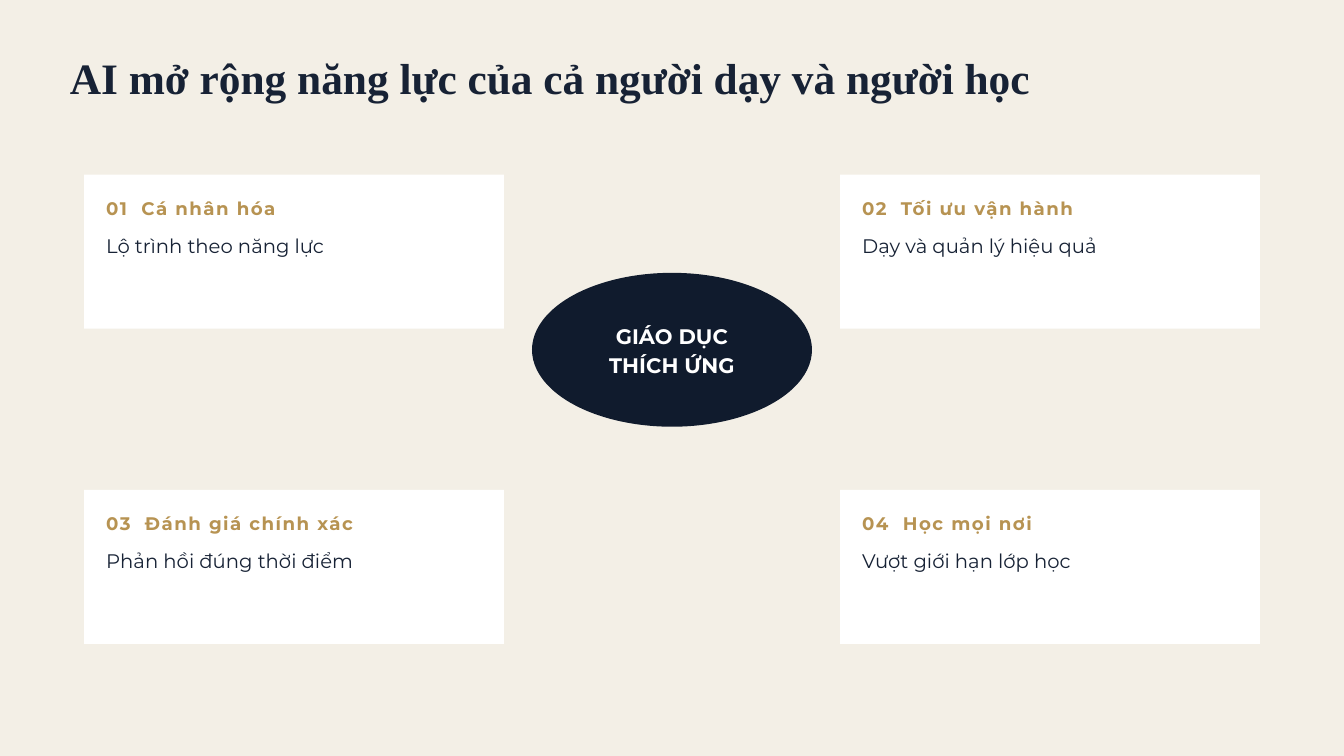
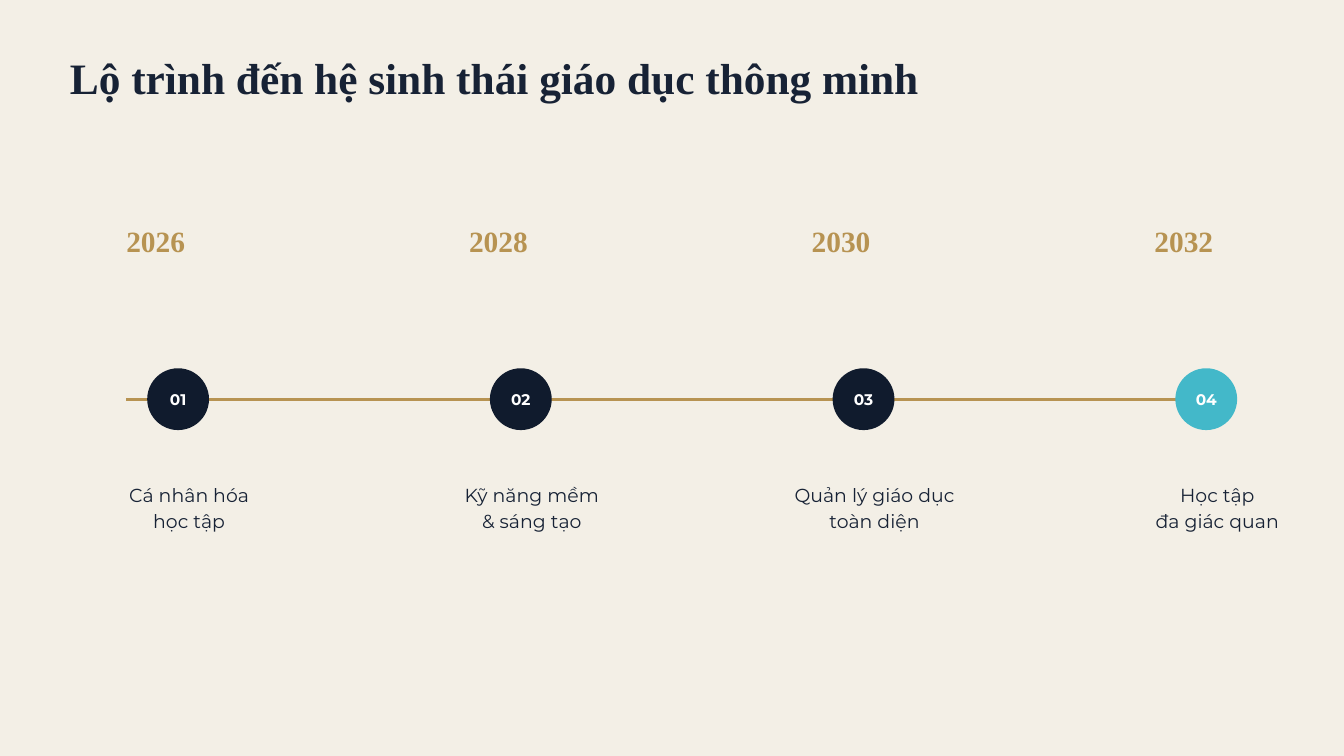
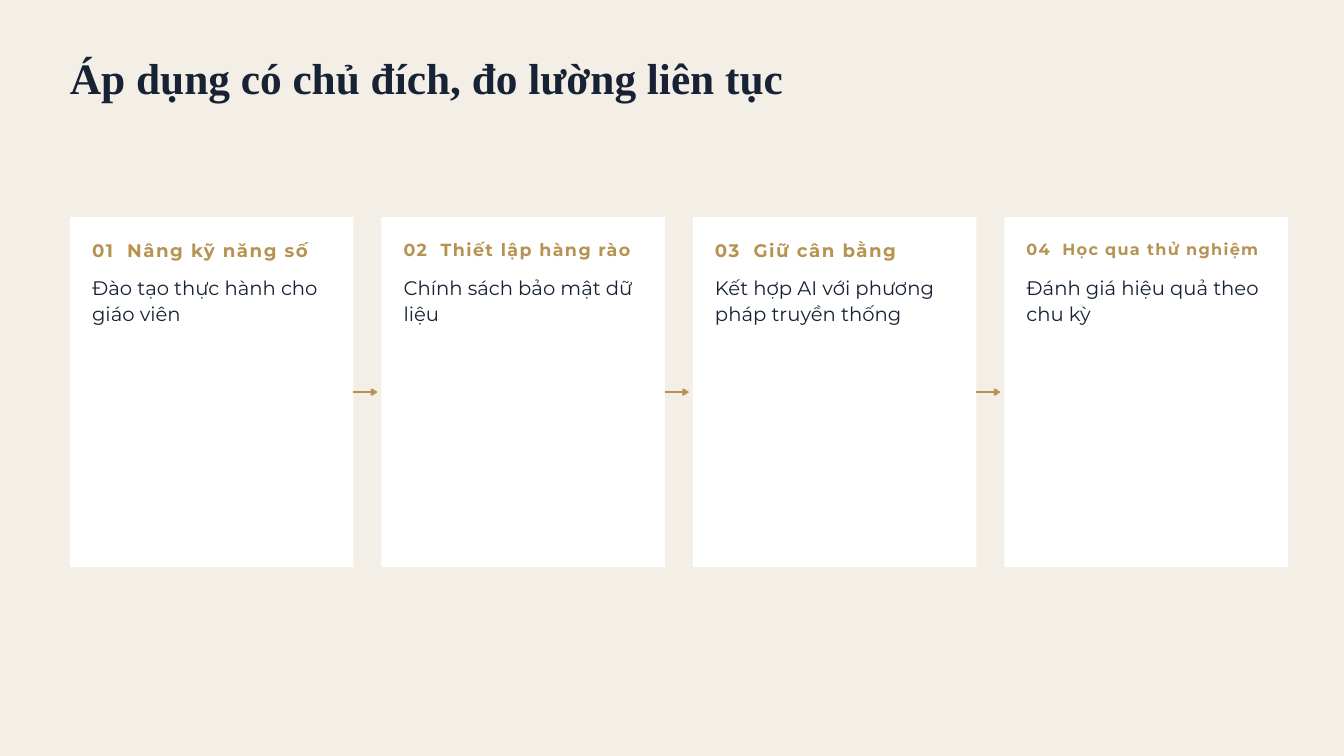
import pptx
import pptx.util
import pptx.dml.color
import pptx.enum.shapes
import pptx.enum.text
import pptx.oxml
import pptx.oxml.ns

# Content
BENEFITS_TITLE = "AI mở rộng năng lực của cả người dạy và người học"
HUB = ["GIÁO DỤC", "THÍCH ỨNG"]
BENEFITS = [
    ("01", "Cá nhân hóa", "Lộ trình theo năng lực"),
    ("02", "Tối ưu vận hành", "Dạy và quản lý hiệu quả"),
    ("03", "Đánh giá chính xác", "Phản hồi đúng thời điểm"),
    ("04", "Học mọi nơi", "Vượt giới hạn lớp học"),
]
ROADMAP_TITLE = "Lộ trình đến hệ sinh thái giáo dục thông minh"
MILESTONES = [
    ("01", "2026", ["Cá nhân hóa", "học tập"], "navy"),
    ("02", "2028", ["Kỹ năng mềm", "& sáng tạo"], "navy"),
    ("03", "2030", ["Quản lý giáo dục", "toàn diện"], "navy"),
    ("04", "2032", ["Học tập", "đa giác quan"], "teal"),
]
STEPS_TITLE = "Áp dụng có chủ đích, đo lường liên tục"
STEPS = [
    ("01", "Nâng kỹ năng số", "Đào tạo thực hành cho giáo viên", 19.5),
    ("02", "Thiết lập hàng rào", "Chính sách bảo mật dữ liệu", 18.75),
    ("03", "Giữ cân bằng", "Kết hợp AI với phương pháp truyền thống", 19.5),
    ("04", "Học qua thử nghiệm", "Đánh giá hiệu quả theo chu kỳ", 17.25),
]

# Shared look
COLORS = {"paper": "F3EFE6", "ink": "172235", "navy": "101B2D",
          "gold": "B79352", "teal": "43B8C9", "white": "FFFFFF"}
SERIF, SANS = "Times New Roman", "Montserrat"
# style: size, font, colour, bold, line height as a share of the size
STYLES = {
    "title": (46.5, SERIF, "ink", True, 1.02),
    "year": (31.5, SERIF, "gold", True, 1.02),
    "hub": (22.5, SANS, "white", True, 1.4),
    "node": (16.5, SANS, "white", True, 1.4),
    "heading": (19.5, SANS, "gold", True, 1.4),
    "body": (21, SANS, "ink", False, 1.35),
    "label": (20.25, SANS, "ink", False, 1.35),
}
W, H = 20, 11.25
COL = W / 16
MARGIN = 1.04
PAD = 0.33

Inches, Pt = pptx.util.Inches, pptx.util.Pt
SHAPE = pptx.enum.shapes.MSO_SHAPE
ALIGN = pptx.enum.text.PP_ALIGN

prs = pptx.Presentation()
prs.slide_width, prs.slide_height = Inches(W), Inches(H)


def rgb(name):
    return pptx.dml.color.RGBColor.from_string(COLORS[name])


def style_paragraph(p, style, size=None, center=False):
    base, font, color, bold, leading = STYLES[style]
    size = size or base
    p.alignment = ALIGN.CENTER if center else ALIGN.LEFT
    p.line_spacing = Pt(size * leading)
    p.font.size, p.font.name, p.font.bold = Pt(size), font, bold
    p.font.color.rgb = rgb(color)


def write(tf, lines, style, center=False):
    for i, line in enumerate(lines):
        p = tf.add_paragraph() if i else tf.paragraphs[0]
        p.text = line
        style_paragraph(p, style, center=center)


def add_box(slide, x, y, w, h):
    tf = slide.shapes.add_textbox(Inches(x), Inches(y), Inches(w), Inches(h)).text_frame
    tf.word_wrap = True
    tf.margin_left = tf.margin_right = tf.margin_top = tf.margin_bottom = 0
    return tf


def add_solid(slide, kind, x, y, w, h, color):
    sp = slide.shapes.add_shape(kind, Inches(x), Inches(y), Inches(w), Inches(h))
    sp.shadow.inherit = False
    sp.fill.solid()
    sp.fill.fore_color.rgb = rgb(color)
    sp.line.fill.background()
    return sp


def add_oval(slide, x, y, w, h, color, lines, style):
    tf = add_solid(slide, SHAPE.OVAL, x, y, w, h, color).text_frame
    tf.word_wrap = True
    tf.vertical_anchor = pptx.enum.text.MSO_ANCHOR.MIDDLE
    tf.margin_left = tf.margin_right = tf.margin_top = Inches(0.06)
    tf.margin_bottom = Inches(0.1)
    write(tf, lines, style, center=True)


def add_line(slide, x1, x2, y, width):
    line = slide.shapes.add_connector(pptx.enum.shapes.MSO_CONNECTOR.STRAIGHT,
                                      Inches(x1), Inches(y), Inches(x2), Inches(y))
    line.line.color.rgb = rgb("gold")
    line.line.width = Pt(width)
    pptx.oxml.ns.qn("a:effectLst")
    line._element.spPr.append(pptx.oxml.parse_xml(
        f'<a:effectLst {pptx.oxml.ns.nsdecls("a")}/>'))
    return line


def add_card(slide, x, y, w, h, number, heading, body, size=19.5):
    card = add_solid(slide, SHAPE.RECTANGLE, x, y, w, h, "white")
    inner = w - 2 * PAD
    p = add_box(slide, x + PAD, y + 0.28, inner, 0.36).paragraphs[0]
    # tracking in hundredths of a point; the gap after the number is wider
    for text, tracking in ((number, 8), (" ", 42), (heading, 8)):
        r = p.add_run()
        r.text = text
        r.font._element.set("spc", str(round(size * tracking)))
    style_paragraph(p, "heading", size)
    write(add_box(slide, x + PAD, y + 0.83, inner, 0.75), [body], "body")
    return card


def new_slide(title):
    slide = prs.slides.add_slide(prs.slide_layouts[6])
    slide.background.fill.solid()
    slide.background.fill.fore_color.rgb = rgb("paper")
    write(add_box(slide, MARGIN, 0.88, W - 2 * MARGIN, 0.69), [title], "title")
    return slide


def build_benefits():
    slide = new_slide(BENEFITS_TITLE)
    card_h = 2.29
    hub_w = COL * 10 / 3
    add_oval(slide, (W - hub_w) / 2, 4.06, hub_w, card_h, "navy", HUB, "hub")
    for i, benefit in enumerate(BENEFITS):
        row, col = divmod(i, 2)
        add_card(slide, COL * (1 + 9 * col), 2.6 + 4.69 * row, 5 * COL, card_h, *benefit)


def build_roadmap():
    slide = new_slide(ROADMAP_TITLE)
    start, pitch, axis, node = 1.88, 5.1, 5.94, 0.92
    add_line(slide, start, W - start, axis, 3)
    for i, (number, year, label, color) in enumerate(MILESTONES):
        x = start + i * pitch
        add_oval(slide, x + 0.31, axis - node / 2, node, node, color, [number], "node")
        write(add_box(slide, x, 3.4, 1.56, 0.45), [year], "year")
        write(add_box(slide, x - 0.42, 7.16, 2.71, 0.74), label, "label", center=True)


def build_steps():
    slide = new_slide(STEPS_TITLE)
    top, card_w, card_h, gap = 3.23, 4.22, 5.21, 0.415
    for i, step in enumerate(STEPS):
        x = MARGIN + i * (card_w + gap)
        card = add_card(slide, x, top, card_w, card_h, *step)
        if i < len(STEPS) - 1:
            right = x + card_w
            arrow = add_line(slide, right, right + 0.36, top + card_h / 2, 2.25)
            arrow.begin_connect(card, 3)
            arrow.line._get_or_add_ln().append(pptx.oxml.parse_xml(
                f'<a:tailEnd {pptx.oxml.ns.nsdecls("a")} type="arrow"/>'))


build_benefits()
build_roadmap()
build_steps()
prs.save("out.pptx")
